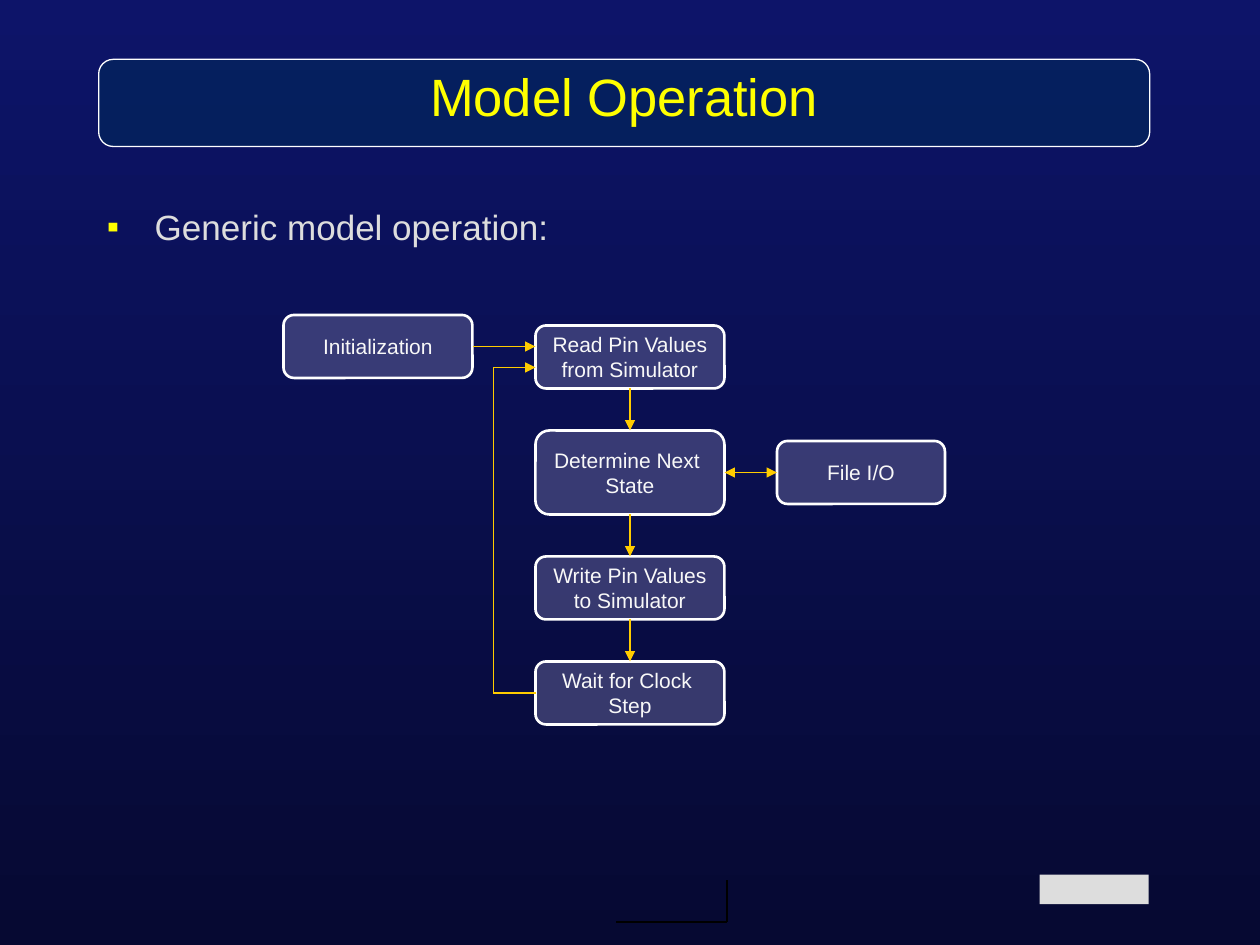
from lxml.etree import SubElement
from pptx import Presentation
from pptx.dml.color import RGBColor
from pptx.enum.shapes import MSO_CONNECTOR, MSO_SHAPE
from pptx.enum.text import MSO_ANCHOR, PP_ALIGN
from pptx.oxml.ns import qn
from pptx.util import Inches, Pt

COLS, ROWS = 120, 90  # grid over the 10 x 7.5 inch slide
TOP, LEFT, BOTTOM, RIGHT = range(4)
GOLD, BLACK = "FFCC00", "000000"
BOX = {"fill": "666699", "line": "FFFFFF", "width": 1.5}
BANNER = {"fill": "002C58", "line": "FFFFFF", "width": 0.75}
BOX_FONT = {"size": Pt(12), "name": "Arial", "color": "F8F8F8"}
TITLE_FONT = {"size": Pt(30), "name": "Arial", "color": "FFFF00"}
BULLET_FONT = {"size": Pt(20), "name": "Arial", "color": "DDDDDD"}

# name: (column, row, columns wide, rows high, lines of text)
STEPS = {
    "read": (51, 31, 18, 6, ["Read Pin Values", "from Simulator"]),
    "next": (51, 41, 18, 8, ["Determine Next ", "State"]),
    "write": (51, 53, 18, 6, ["Write Pin Values", "to Simulator"]),
    "wait": (51, 63, 18, 6, ["Wait for Clock ", "Step"]),
    "init": (27, 30, 18, 6, ["Initialization"]),
    "file": (74, 42, 16, 6, ["File I/O"]),
}


def rgb(value):
    return RGBColor.from_string(value)


def grid(*cells):
    return [Inches(c * 10 / COLS) for c in cells]


def set_font(font, fmt):
    for key, value in fmt.items():
        if key == "color":
            font.color.rgb = rgb(value)
        else:
            setattr(font, key, value)


def add_background(s, top, bottom):
    fill = s.background.fill
    fill.gradient()
    fill.gradient_angle = 270
    for stop, color, position in zip(fill.gradient_stops, (top, bottom), (0, 1)):
        stop.color.rgb = rgb(color)
        stop.position = position


def add_box(s, box, lines, style, font):
    """Half-transparent rounded box with centred lines of text."""
    sp = s.shapes.add_shape(MSO_SHAPE.ROUNDED_RECTANGLE, *box)
    sp.shadow.inherit = False
    sp.adjustments[0] = 0.167
    sp.fill.solid()
    sp.fill.fore_color.rgb = rgb(style["fill"])
    color = sp.fill._xPr.find(".//" + qn("a:srgbClr"))
    SubElement(color, qn("a:alpha"), val="50000")
    sp.line.color.rgb = rgb(style["line"])
    sp.line.width = Pt(style["width"])
    tf = sp.text_frame
    tf.word_wrap = False
    tf.vertical_anchor = MSO_ANCHOR.MIDDLE
    for i, line in enumerate(lines):
        p = tf.add_paragraph() if i else tf.paragraphs[0]
        p.alignment = PP_ALIGN.CENTER
        r = p.add_run()
        r.text = line
        set_font(r.font, font)
    return sp


def add_line(s, start, end, color=GOLD, width=0.75, arrows=()):
    """Line between ends given as (column, row) or (shape, side)."""
    points = [(0, 0) if hasattr(e[0], "text_frame") else e for e in (start, end)]
    cxn = s.shapes.add_connector(MSO_CONNECTOR.STRAIGHT, *grid(*points[0], *points[1]))
    for e, connect in ((start, cxn.begin_connect), (end, cxn.end_connect)):
        if hasattr(e[0], "text_frame"):
            connect(*e)
    cxn.line.color.rgb = rgb(color)
    cxn.line.width = Pt(width)
    for tag in arrows:
        SubElement(cxn.line._get_or_add_ln(), qn(tag), type="triangle")
    SubElement(cxn._element.spPr, qn("a:effectLst"))
    return cxn


def add_bullet(s, box, text):
    tf = s.shapes.add_textbox(*box).text_frame
    tf.word_wrap = True
    p = tf.paragraphs[0]
    pPr = p._p.get_or_add_pPr()
    pPr.set("marL", str(Inches(0.38)))
    pPr.set("indent", str(-Inches(0.38)))
    SubElement(SubElement(pPr, qn("a:buClr")), qn("a:srgbClr"), val="FFFF00")
    SubElement(pPr, qn("a:buFont"), typeface="Arial")
    SubElement(pPr, qn("a:buChar"), char="▪")
    r = p.add_run()
    r.text = text
    set_font(r.font, BULLET_FONT)


def main():
    prs = Presentation()
    prs.slide_width, prs.slide_height = grid(COLS, ROWS)
    s = prs.slides.add_slide(prs.slide_layouts[6])
    add_background(s, "0D1469", "060932")

    # Footer: plain mark and corner rule
    mark = s.shapes.add_shape(MSO_SHAPE.RECTANGLE, *grid(99, 83.3, 10.4, 2.8))
    mark.shadow.inherit = False
    mark.fill.solid()
    mark.fill.fore_color.rgb = rgb("DDDDDD")
    mark.line.fill.background()
    corner = (69.25, 87.8)
    add_line(s, (58.7, 87.8), corner, BLACK, 1.25)
    add_line(s, corner, (69.25, 83.8), BLACK, 1.25)

    # Flow chart boxes
    boxes = {name: add_box(s, grid(*place), lines, BOX, BOX_FONT)
             for name, (*place, lines) in STEPS.items()}

    # Arrows down the main column
    column = ["read", "next", "write", "wait"]
    for a, b in zip(column, column[1:]):
        add_line(s, (boxes[a], BOTTOM), (boxes[b], TOP), arrows=["a:tailEnd"])

    # Entry, file exchange and the loop back to the first step
    add_line(s, (boxes["init"], RIGHT), (51, 33), arrows=["a:tailEnd"])
    add_line(s, (boxes["next"], RIGHT), (boxes["file"], LEFT),
             arrows=["a:headEnd", "a:tailEnd"])
    add_line(s, (boxes["wait"], LEFT), (47, 66))
    add_line(s, (47, 66), (47, 35))
    add_line(s, (47, 35), (51, 35), arrows=["a:tailEnd"])

    # Body and title
    add_bullet(s, grid(9, 19, 102, 57.6), "Generic model operation:")
    title = add_box(s, grid(9.4, 5.65, 100.1, 8.3), ["Model Operation"],
                    BANNER, TITLE_FONT)
    title.text_frame.margin_bottom = Inches(0.17)

    prs.save("out.pptx")


if __name__ == "__main__":
    main()
